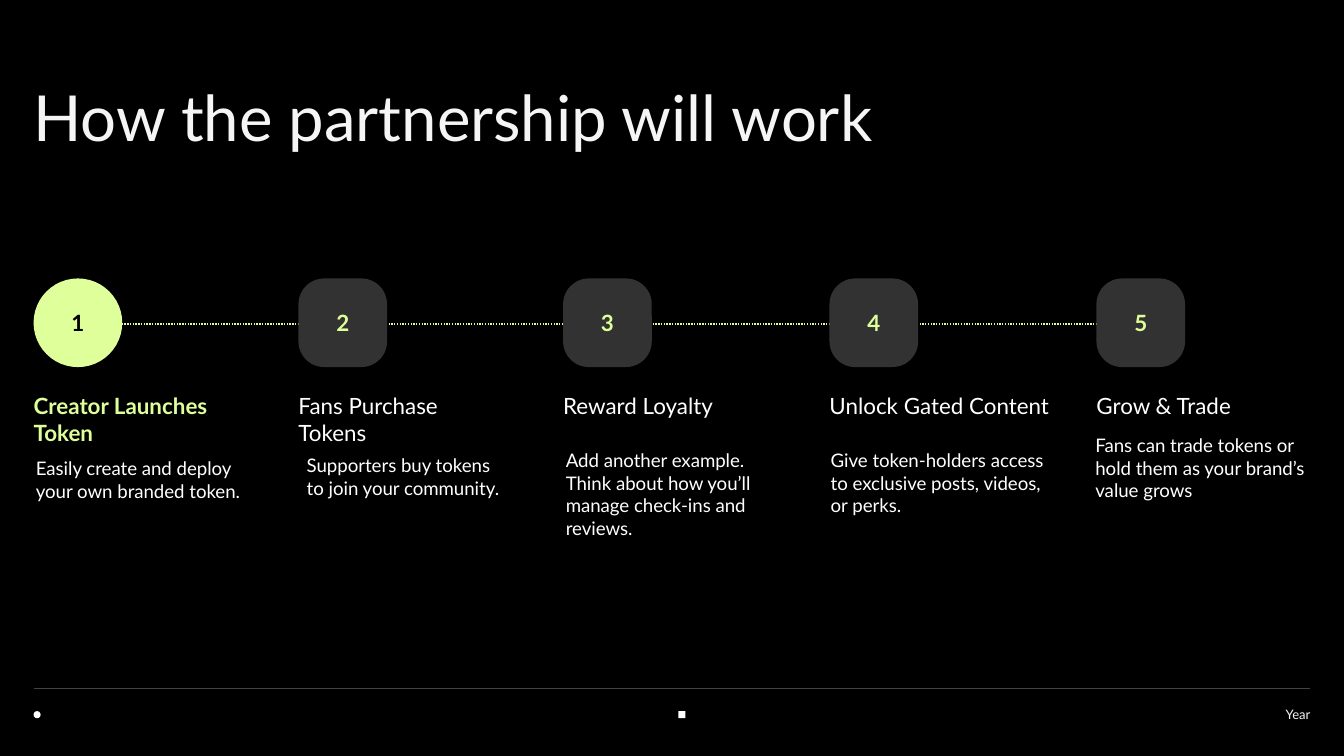
from pptx import Presentation
from pptx.dml.color import RGBColor
from pptx.enum.dml import MSO_LINE
from pptx.enum.shapes import MSO_CONNECTOR, MSO_SHAPE
from pptx.enum.text import MSO_ANCHOR, PP_ALIGN
from pptx.oxml.ns import qn
from pptx.util import Pt

HEX = {"black": "000000", "white": "FFFFFF", "pale": "F5F5F5",
       "lime": "DEFF9A", "dark": "323232", "rule": "434343"}
TILE = 47.5

# Each step: left, heading, heading width, body, body box (dx, dy, width)
STEPS = [
    (18, "Creator Launches Token", 106,
     "Easily create and deploy your own branded token.", (1.2, 95.8, 114.5)),
    (159.9, "Fans Purchase Tokens", 106,
     "Supporters buy tokens to join your community.", (4.4, 94, 108.7)),
    (301.7, "Reward Loyalty", 106,
     "Add another example. Think about how you’ll manage check-ins "
     "and reviews.", (1.4, 91.5, 114.5)),
    (444.4, "Unlock Gated Content", 136,
     "Give token-holders access to exclusive posts, videos, or perks.",
     (0.6, 91.5, 114.5)),
    (587.4, "Grow & Trade", 106,
     "Fans can trade tokens or hold them as your brand’s value grows",
     (-0.6, 83.5, 114.5)),
]


def color(name):
    return RGBColor.from_string(HEX[name])


def write(slide, box, text, size, ink="white", bold=False, inset=0,
          align=PP_ALIGN.LEFT, anchor=MSO_ANCHOR.TOP, space=1.0):
    frame = slide.shapes.add_textbox(*map(Pt, box)).text_frame
    frame.word_wrap = True
    frame.vertical_anchor = anchor
    frame.margin_left = frame.margin_top = 0
    frame.margin_right = frame.margin_bottom = Pt(inset)
    line = frame.paragraphs[0]
    line.text = text
    line.alignment = align
    line.line_spacing = space
    font = line.font
    font.name, font.size, font.bold = "Lato", Pt(size), bold
    font.color.rgb = color(ink)


def draw(slide, kind, box, fill):
    shape = slide.shapes.add_shape(kind, *map(Pt, box))
    shape.shadow.inherit = False
    shape.fill.solid()
    shape.fill.fore_color.rgb = color(fill)
    shape.line.fill.background()
    return shape


def rule(slide, left, right, top, ink, dash=None):
    """Draw a thin level line."""
    line = slide.shapes.add_connector(
        MSO_CONNECTOR.STRAIGHT, Pt(left), Pt(top), Pt(right), Pt(top))
    line.line.color.rgb = color(ink)
    line.line.width = Pt(0.75)
    if dash:
        line.line.dash_style = dash
    props = line._element.spPr
    props.append(props.makeelement(qn("a:effectLst"), {}))


def footer(slide, left, top, width):
    rule(slide, left + 0.5, left + width, top, "rule")
    for kind, x in ((MSO_SHAPE.OVAL, left), (MSO_SHAPE.RECTANGLE, left + 345.5)):
        draw(slide, kind, (x, top + 12.2, 3.8, 3.8), "white")
    write(slide, (left + width - 162, top, 162, 18), "Year", 7, "pale",
          align=PP_ALIGN.RIGHT, anchor=MSO_ANCHOR.BOTTOM)


def step(slide, left, top, count, head, wide, body, place):
    first = count == 1
    tile = draw(slide, MSO_SHAPE.ROUNDED_RECTANGLE, (left, top, TILE, TILE),
                "lime" if first else "dark")
    tile.adjustments[0] = 0.5 if first else 0.29
    write(slide, (left + 11.5, top + 10.5, 24.5, 26.5), str(count), 12,
          "black" if first else "lime", True,
          align=PP_ALIGN.CENTER, anchor=MSO_ANCHOR.MIDDLE)
    write(slide, (left, top + 61, wide, 11.5), head, 12,
          "lime" if first else "white", first, inset=7.2)
    dx, dy, width = place
    write(slide, (left + dx, top + dy, width, 64), body, 10)


def timeline(slide, top):
    rule(slide, STEPS[0][0], STEPS[-1][0] + TILE / 2, top + 24.3, "lime",
         MSO_LINE.ROUND_DOT)
    for count, (left, *parts) in enumerate(STEPS, 1):
        step(slide, left, top, count, *parts)


def main():
    deck = Presentation()
    deck.slide_width, deck.slide_height = Pt(720), Pt(405)
    slide = deck.slides.add_slide(deck.slide_layouts[6])
    slide.background.fill.solid()
    slide.background.fill.fore_color.rgb = color("black")
    footer(slide, 18, 368.8, 684)
    write(slide, (18, 48.2, 538.6, 42.5), "How the partnership will work",
          34, "pale", inset=7.2, space=0.85)
    timeline(slide, 149.2)
    deck.save("out.pptx")


if __name__ == "__main__":
    main()
